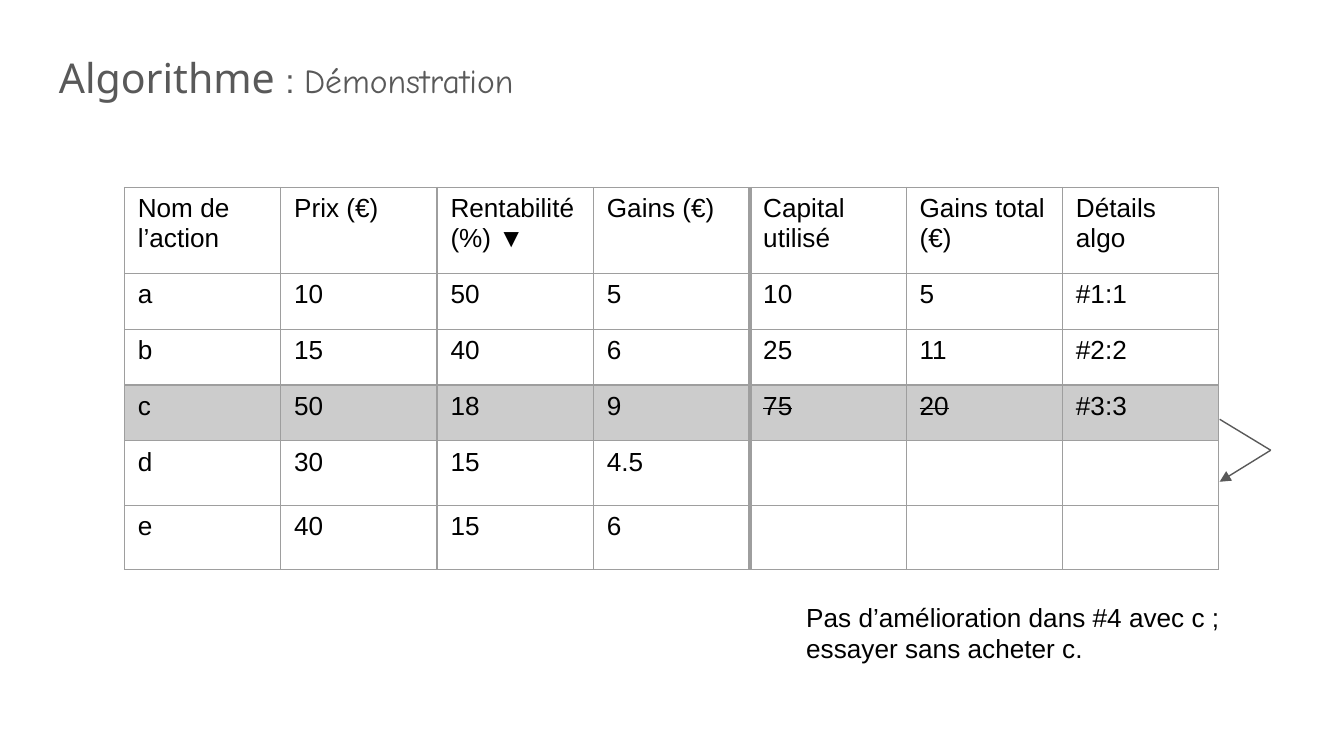
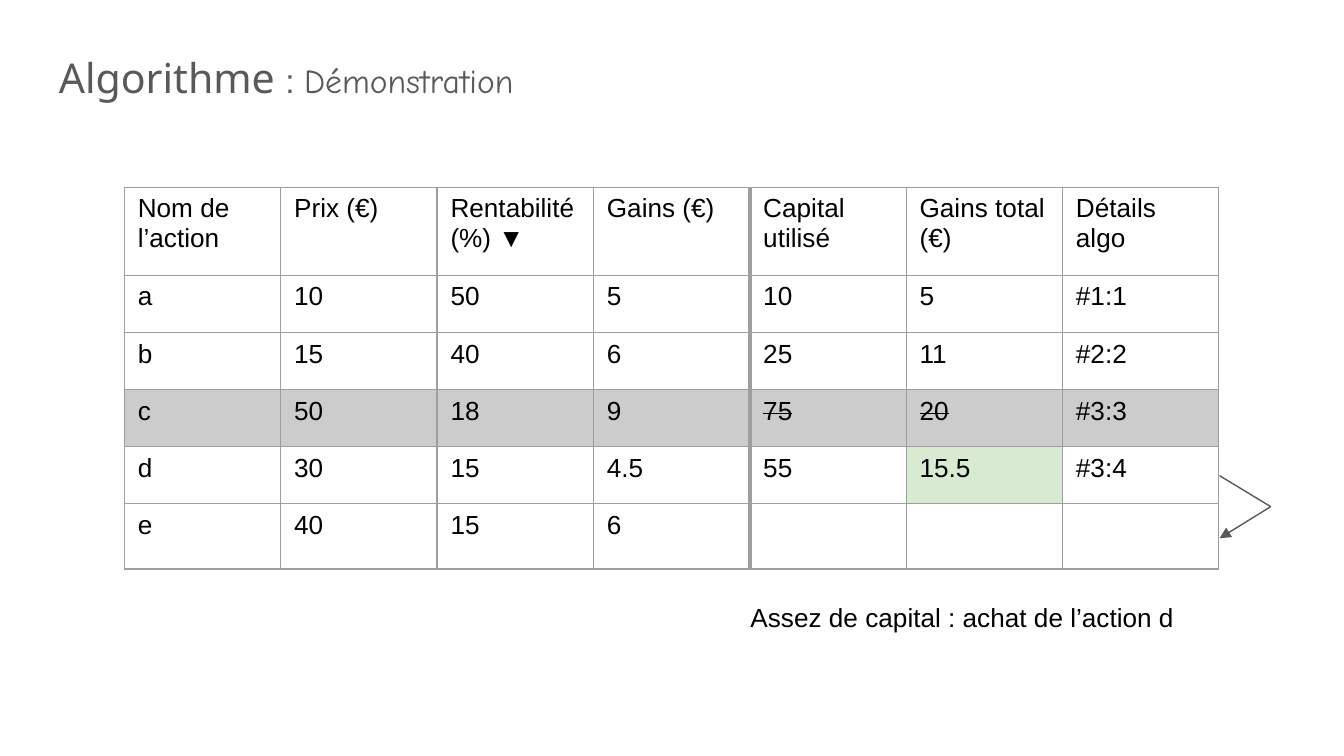
from lxml import etree
from pptx import Presentation
from pptx.dml.color import RGBColor
from pptx.enum.shapes import MSO_CONNECTOR
from pptx.enum.text import MSO_AUTO_SIZE, MSO_ANCHOR
from pptx.oxml import parse_xml
from pptx.oxml.ns import nsdecls, qn
from pptx.util import Pt

STRAIGHT = MSO_CONNECTOR.STRAIGHT
GROW = MSO_AUTO_SIZE.SHAPE_TO_FIT_TEXT
FIXED = MSO_AUTO_SIZE.NONE
TOP = MSO_ANCHOR.TOP

PX = 4572  # 200 px to the inch
BLACK, DARK, BORDER = "000000", "595959", "9E9E9E"
GREY, GREEN, WHITE = "CCCCCC", "D9EAD3", "FFFFFF"
THIN, THICK = 0.75, 2.21

TABLE_LEFT, TABLE_TOP, TABLE_WIDTH = 185, 279, 1629
TABLE_RIGHT = TABLE_LEFT + TABLE_WIDTH
DIVIDER = 4  # the thick rule stands left of this column
REJECTED_ROW = 3

HEADER = ["Nom de l’action", "Prix (€)", "Rentabilité (%) ▼", "Gains (€)",
          "Capital utilisé", "Gains total (€)", "Détails algo"]
ACTIONS = [
    ["a", "10", "50", "5"],
    ["b", "15", "40", "6"],
    ["c", "50", "18", "9"],
    ["d", "30", "15", "4.5"],
    ["e", "40", "15", "6"],
]
STEPS = [["10", "5", "#1:1"], ["25", "11", "#2:2"], ["75", "20", "#3:3"]]
STRUCK = {(REJECTED_ROW, 4), (REJECTED_ROW, 5)}
FILLS = {(REJECTED_ROW, c): GREY for c in range(len(HEADER))}
FILLS.update({(5, 5): WHITE, (5, 6): WHITE})


def px(n):
    return round(n * PX)


def rgb(value):
    return RGBColor.from_string(value)


def style(font, name, size, color):
    font.name, font.size = name, Pt(size)
    font.color.rgb = rgb(color)


def add_text_frame(slide, left, top, width, height, auto_size):
    sp = slide.shapes.add_textbox(px(left), px(top), px(width), px(height))
    tf = sp.text_frame
    tf.word_wrap, tf.auto_size, tf.vertical_anchor = True, auto_size, TOP
    tf.margin_left = tf.margin_right = px(20)
    tf.margin_top = tf.margin_bottom = px(20)
    return tf


def add_title(slide):
    p = add_text_frame(slide, 68, 47, 1864, 124, FIXED).paragraphs[0]
    p.line_spacing, p.space_after = 1.15, Pt(12)
    for text, name, size in (("Algorithme ", "Noto Sans", 22),
                             (": ", "Arial", 18),
                             ("Démonstration", "Comic Neue", 18)):
        r = p.add_run()
        r.text = text
        style(r.font, name, size, DARK)


def add_note(slide, text, left, width, height):
    p = add_text_frame(slide, left, 875, width, height, GROW).paragraphs[0]
    p.text = text
    style(p.font, "Arial", 14, BLACK)


def set_borders(cell, col):
    """Rule all four sides, thick on both sides of the divider."""
    widths = {"lnL": THICK if col == DIVIDER else THIN,
              "lnR": THICK if col == DIVIDER - 1 else THIN,
              "lnT": THIN, "lnB": THIN}
    tc_pr = cell._tc.get_or_add_tcPr()
    for i, (side, width) in enumerate(widths.items()):
        tc_pr.insert(i, parse_xml(
            f'<a:{side} {nsdecls("a")} w="{Pt(width)}"><a:solidFill>'
            f'<a:srgbClr val="{BORDER}"/></a:solidFill></a:{side}>'))


def fill_cell(cell, text, fill, struck):
    cell.margin_left = cell.margin_right = px(20)
    cell.margin_top = cell.margin_bottom = px(10)
    cell.vertical_anchor = TOP
    if fill:
        cell.fill.solid()
        cell.fill.fore_color.rgb = rgb(fill)
    else:
        cell.fill.background()
    p = cell.text_frame.paragraphs[0]
    if text:
        r = p.add_run()
        r.text = text
        if struck:
            r._r.get_or_add_rPr().set("strike", "sngStrike")
    style(p.font, "Arial", 14, BLACK)


def add_steps_table(slide, steps, heights, fills):
    """Show every action, with the algorithm's results beside the first ones."""
    blank = [[""] * 3] * (len(ACTIONS) - len(steps))
    rows = [HEADER] + [a + s for a, s in zip(ACTIONS, steps + blank)]
    table = slide.shapes.add_table(
        len(rows), len(HEADER), px(TABLE_LEFT), px(TABLE_TOP),
        px(TABLE_WIDTH), px(sum(heights))).table
    table.first_row = table.horz_banding = False
    for column in table.columns:
        column.width = px(TABLE_WIDTH / len(HEADER))
    for i, (texts, height) in enumerate(zip(rows, heights)):
        table.rows[i].height = px(height)
        for j, text in enumerate(texts):
            cell = table.cell(i, j)
            fill_cell(cell, text, fills.get((i, j)), (i, j) in STRUCK)
            set_borders(cell, j)


def add_line(slide, x1, y1, x2, y2, arrow=False):
    line = slide.shapes.add_connector(STRAIGHT, px(x1), px(y1), px(x2), px(y2))
    line.line.width = Pt(THIN)
    line.line.color.rgb = rgb(DARK)
    if arrow:
        ln = line.line._get_or_add_ln()
        etree.SubElement(ln, qn("a:tailEnd"), type="triangle")
    etree.SubElement(line._element.spPr, qn("a:effectLst"))


def add_next_row_arrow(slide, top):
    start, tip = TABLE_RIGHT + 1, top + 46
    add_line(slide, start + 76, tip, start, top + 93, arrow=True)
    add_line(slide, start, top, start + 76, tip)


def add_demo_slide(prs, steps, heights, fills, note, arrow_top):
    slide = prs.slides.add_slide(prs.slide_layouts[6])
    add_steps_table(slide, steps, heights, fills)
    add_note(slide, *note)
    add_next_row_arrow(slide, arrow_top)
    add_title(slide)


def main():
    prs = Presentation()
    prs.slide_width, prs.slide_height = px(2000), px(1125)
    add_demo_slide(
        prs, STEPS, [128, 83, 83, 83, 96, 96], FILLS,
        ("Pas d’amélioration dans #4 avec c ; essayer sans acheter c.",
         1180, 702, 134), 624)
    add_demo_slide(
        prs, STEPS + [["55", "15.5", "#3:4"]], [131, 85, 85, 85, 85, 97],
        {**FILLS, (4, 5): GREEN},
        ("Assez de capital : achat de l’action d", 1097, 784, 86), 708)
    prs.save("out.pptx")


if __name__ == "__main__":
    main()
